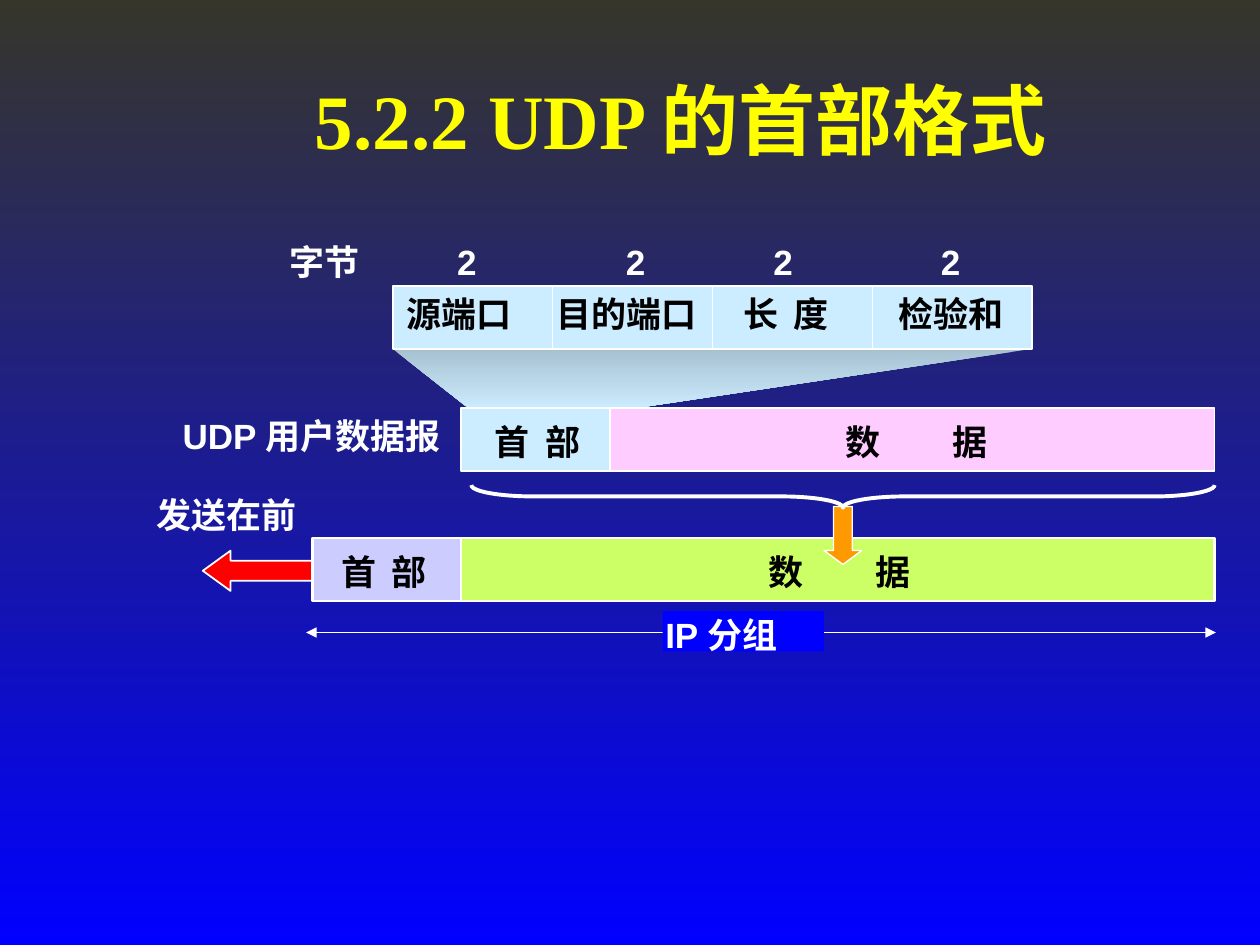
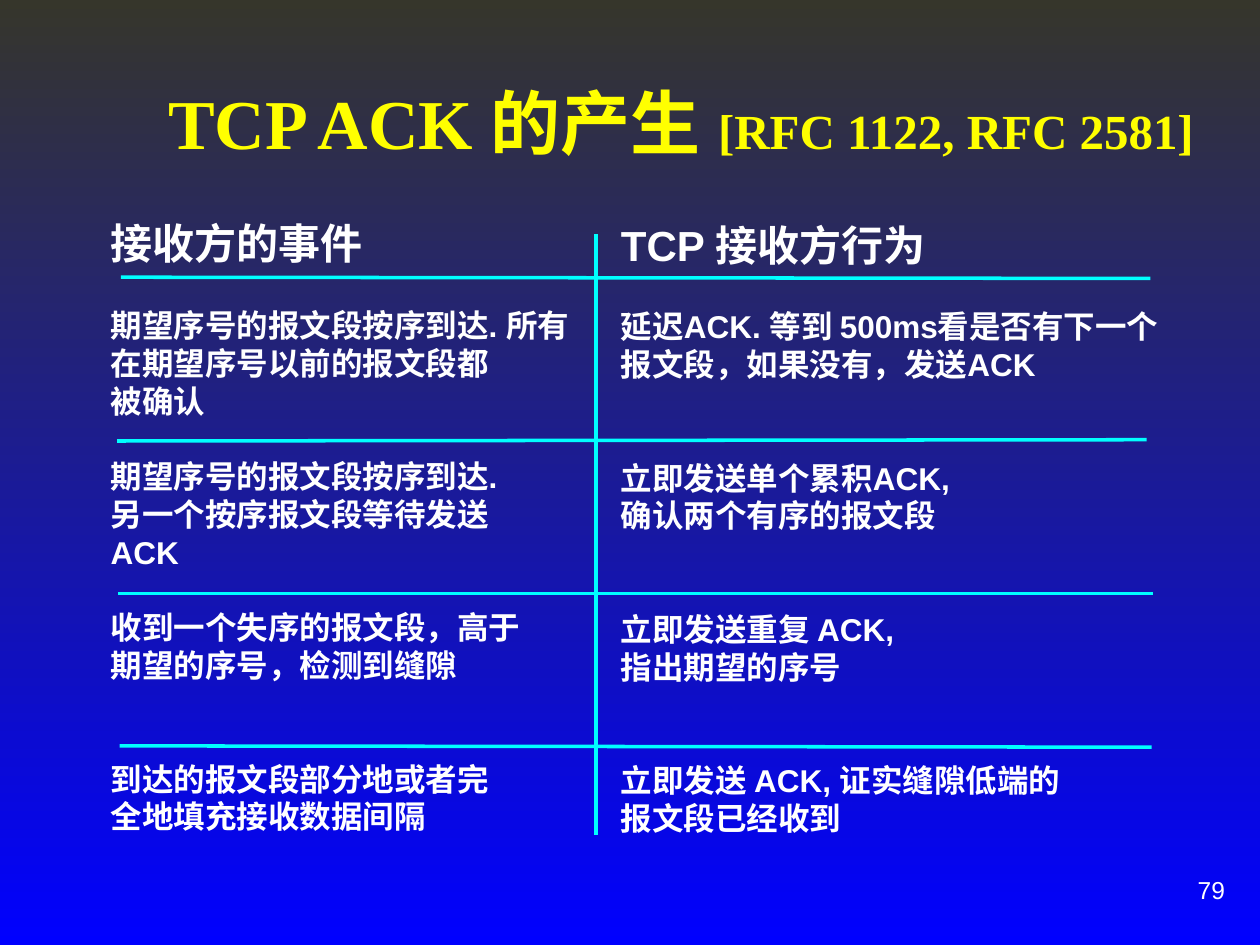
from lxml import etree
from pptx import Presentation
from pptx.dml.color import RGBColor
from pptx.enum.shapes import MSO_CONNECTOR, MSO_SHAPE
from pptx.enum.text import MSO_ANCHOR, PP_ALIGN
from pptx.oxml.ns import qn
from pptx.util import Inches, Pt

RECT, BRACE = MSO_SHAPE.RECTANGLE, MSO_SHAPE.RIGHT_BRACE
LEFT_ARROW, DOWN_ARROW = MSO_SHAPE.LEFT_ARROW, MSO_SHAPE.DOWN_ARROW
STRAIGHT = MSO_CONNECTOR.STRAIGHT
TOP, MIDDLE = MSO_ANCHOR.TOP, MSO_ANCHOR.MIDDLE
LEFT, CENTER, RIGHT = PP_ALIGN.LEFT, PP_ALIGN.CENTER, PP_ALIGN.RIGHT

BLACK = RGBColor(0x00, 0x00, 0x00)
WHITE = RGBColor(0xFF, 0xFF, 0xFF)
YELLOW = RGBColor(0xFF, 0xFF, 0x00)
CYAN = RGBColor(0x00, 0xFF, 0xFF)
BLUE = RGBColor(0x00, 0x00, 0xFF)
DARK = RGBColor(0x36, 0x36, 0x2B)
RED = RGBColor(0xFF, 0x00, 0x00)
ORANGE = RGBColor(0xFF, 0x99, 0x00)
PALE_BLUE = RGBColor(0xCC, 0xEC, 0xFF)
GREY_BLUE = RGBColor(0xA7, 0xC1, 0xD1)
LILAC = RGBColor(0xCC, 0xCC, 0xFF)
PINK = RGBColor(0xFF, 0xCC, 0xFF)
LIME = RGBColor(0xCC, 0xFF, 0x66)
SANS, SERIF = "Arial", "Times New Roman"

# Slide 1 content
UDP_TITLE = [("5.2.2 UDP 的首部格式", 44)]
FIELD_X, FIELD_Y, FIELDS_W, BAR_H = 3.12, 2.27, 5.07, 0.5
BYTES_Y = 1.86
# name, left, width, tab stop, left of its byte count
FIELDS = [
    ("源端口", 3.13, 1.1, None, 3.53),
    ("目的端口", 4.32, 1.4, None, 4.87),
    ("长\t度", 5.8, 0.95, 0.4, 6.04),
    ("检验和", 7.03, 1.1, None, 7.37),
]
FIELD_BYTES = "2"
HEADER_FAN = [(3.12, 2.77), (8.18, 2.77), (4.97, 3.25), (3.72, 3.24)]
# left, top, width, fill, line width, text, text left, text width, tab stop
BARS = [
    (2.48, 4.27, 1.18, LILAC, 1.5, "首\t部", 2.61, 0.95, 0.4),
    (3.66, 4.27, 5.98, LIME, 1.5, "数\t据", 6, 1.4, 0.85),
    (3.66, 3.24, 1.18, PALE_BLUE, 1, "首\t部", 3.83, 0.95, 0.4),
    (4.84, 3.24, 4.8, PINK, 1, "数\t据", 6.61, 1.4, 0.85),
]
# text, left, top, width
SIDE_LABELS = [
    ("字节", 2.2, 1.86, 0.85),
    ("发送在前", 1.14, 3.87, 1.4),
    ("UDP 用户数据报", 1.35, 3.24, 2.42),
]
PACKET_LABEL = "IP 分组"

# Slide 2 content
ACK_TITLE = [("TCP ACK 的产生", 40), (" ", 44), ("[RFC 1122, RFC 2581]", 28)]
PAGE_NUMBER = "79"
# left, top, width, heading, rows of lines
COLUMNS = [
    (0.78, 1.68, 4.05, "接收方的事件", [
        ["期望序号的报文段按序到达. 所有", "在期望序号以前的报文段都", "被确认"],
        ["期望序号的报文段按序到达.", "另一个按序报文段等待发送", "ACK"],
        ["收到一个失序的报文段，高于", "期望的序号，检测到缝隙"],
        ["到达的报文段部分地或者完", "全地填充接收数据间隔"],
    ]),
    (4.83, 1.69, 4.85, "TCP 接收方行为", [
        ["延迟ACK. 等到 500ms看是否有下一个", "报文段，如果没有，发送ACK"],
        ["立即发送单个累积ACK,", "确认两个有序的报文段"],
        ["立即发送重复 ACK,", "指出期望的序号"],
        ["立即发送 ACK, 证实缝隙低端的", "报文段已经收到"],
    ]),
]
ROW_LINES, LINE_PT = 4, 21.6  # each row is four lines high
RULES = [
    (0.96, 2.2, 9.13, 2.21),
    (0.93, 3.5, 9.1, 3.49),
    (0.94, 4.71, 9.15, 4.71),
    (0.95, 5.92, 9.14, 5.93),
    (4.73, 1.86, 4.73, 6.63),
]


def style(p, size, color, bold=True, name=SANS):
    p.font.name, p.font.bold = name, bold
    p.font.color.rgb = color
    if size:
        p.font.size = Pt(size)


def set_gradient(fill, top, bottom):
    fill.gradient()
    fill.gradient_angle = 270
    for stop, color in zip(fill.gradient_stops, (top, bottom)):
        stop.color.rgb = color


def add_box(s, x, y, w, h):
    sp = s.shapes.add_textbox(Inches(x), Inches(y), Inches(w), Inches(h))
    sp.text_frame.word_wrap = True
    return sp.text_frame


def add_label(s, text, x, y, w, color=WHITE, tab=None):
    p = add_box(s, x, y, w, 0.44).paragraphs[0]
    p.text = text
    if tab:
        tabs = etree.SubElement(p._p.get_or_add_pPr(), qn("a:tabLst"))
        etree.SubElement(tabs, qn("a:tab"), pos=str(Inches(tab)), algn="l")
    style(p, 20, color)


def add_shape(s, kind, x, y, w, h, fill=None, line_pt=None, adjust=()):
    sp = s.shapes.add_shape(kind, Inches(x), Inches(y), Inches(w), Inches(h))
    sp.shadow.inherit = False
    if fill is None:
        sp.fill.background()
    else:
        sp.fill.solid()
        sp.fill.fore_color.rgb = fill
    if line_pt is None:
        sp.line.fill.background()
    else:
        sp.line.color.rgb = WHITE
        sp.line.width = Pt(line_pt)
    for i, value in enumerate(adjust):
        sp.adjustments[i] = value
    return sp


def add_line(s, x1, y1, x2, y2, color=WHITE, width=0.75, arrows=False):
    line = s.shapes.add_connector(STRAIGHT, Inches(x1), Inches(y1), Inches(x2), Inches(y2))
    line.line.color.rgb = color
    line.line.width = Pt(width)
    if arrows:
        ln = line.line._get_or_add_ln()
        for end in ("a:headEnd", "a:tailEnd"):
            etree.SubElement(ln, qn(end), type="triangle")
    etree.SubElement(line._element.spPr, qn("a:effectLst"))


def new_slide(prs, title):
    s = prs.slides.add_slide(prs.slide_layouts[6])
    tf = add_box(s, 1.18, 0.32, 8.45, 1.25)
    tf.vertical_anchor = MIDDLE
    p = tf.paragraphs[0]
    p.alignment = CENTER
    style(p, None, YELLOW, name=SERIF)
    for text, size in title:
        r = p.add_run()
        r.text = text
        r.font.size = Pt(size)
    return s


def build_udp_slide(prs):
    s = new_slide(prs, UDP_TITLE)

    # Fan from the header fields down to the header
    points = [(Inches(x), Inches(y)) for x, y in HEADER_FAN]
    builder = s.shapes.build_freeform(*points[0])
    builder.add_line_segments(points[1:], close=True)
    fan = builder.convert_to_shape()
    fan.shadow.inherit = False
    set_gradient(fan.fill, GREY_BLUE, PALE_BLUE)
    fan.line.fill.background()

    # Header fields with their byte counts
    add_shape(s, RECT, FIELD_X, FIELD_Y, FIELDS_W, BAR_H, PALE_BLUE, 1.5)
    for i, (name, x, w, tab, bytes_x) in enumerate(FIELDS):
        if i:
            edge = FIELD_X + i * FIELDS_W / len(FIELDS)
            add_line(s, edge, FIELD_Y, edge, FIELD_Y + BAR_H)
        add_label(s, name, x, FIELD_Y, w, BLACK, tab)
        add_label(s, FIELD_BYTES, bytes_x, BYTES_Y, 0.4)

    # Datagram and packet bars
    add_shape(s, LEFT_ARROW, 1.61, 4.37, 0.87, 0.32, RED, 1, (0.5, 0.69))
    for x, y, w, fill, line_pt, text, text_x, text_w, tab in BARS:
        add_shape(s, RECT, x, y, w, BAR_H, fill, line_pt)
        add_label(s, text, text_x, y + 0.05, text_w, BLACK, tab)
    for label in SIDE_LABELS:
        add_label(s, *label)

    # Brace and arrow from datagram to packet data
    add_shape(s, DOWN_ARROW, 6.54, 4.02, 0.3, 0.46, ORANGE, 0.75, (0.5, 0.37))
    brace = add_shape(s, BRACE, 6.6, 0.99, 0.18, 5.9, None, 2.25, (2.72, 0.5))
    brace.rotation = 90

    # Packet extent
    add_line(s, 2.43, 5.02, 9.65, 5.02, arrows=True)
    tf = add_shape(s, RECT, 5.26, 4.85, 1.28, 0.32, BLUE).text_frame
    tf.vertical_anchor = TOP
    tf.margin_left = tf.margin_top = Inches(0.02)
    tf.margin_right = tf.margin_bottom = 0
    p = tf.paragraphs[0]
    p.text = PACKET_LABEL
    p.alignment = LEFT
    style(p, 20, WHITE)


def build_ack_slide(prs):
    s = new_slide(prs, ACK_TITLE)

    # Page number
    tf = add_box(s, 7.17, 6.81, 2.65, 0.5)
    tf.vertical_anchor = MIDDLE
    p = tf.paragraphs[0]
    p.text = PAGE_NUMBER
    p.alignment = RIGHT
    style(p, 14, WHITE, bold=False)

    # Events and actions
    for x, y, w, heading, rows in COLUMNS:
        tf = add_box(s, x, y, w, 5.6)
        p = tf.paragraphs[0]
        p.text = heading
        style(p, 24, WHITE)
        empty_lines = 1
        for row in rows:
            for i, text in enumerate(row):
                p = tf.add_paragraph()
                p.text = text
                if i == 0:
                    p.space_before = Pt(empty_lines * LINE_PT)
                style(p, 18, WHITE)
            empty_lines = ROW_LINES - len(row)

    # Rules
    for rule in RULES:
        add_line(s, *rule, color=CYAN, width=2)


def main():
    prs = Presentation()
    prs.slide_width, prs.slide_height = Inches(10), Inches(7.5)
    set_gradient(prs.slide_master.background.fill, DARK, BLUE)
    build_udp_slide(prs)
    build_ack_slide(prs)
    prs.save("out.pptx")


if __name__ == "__main__":
    main()
